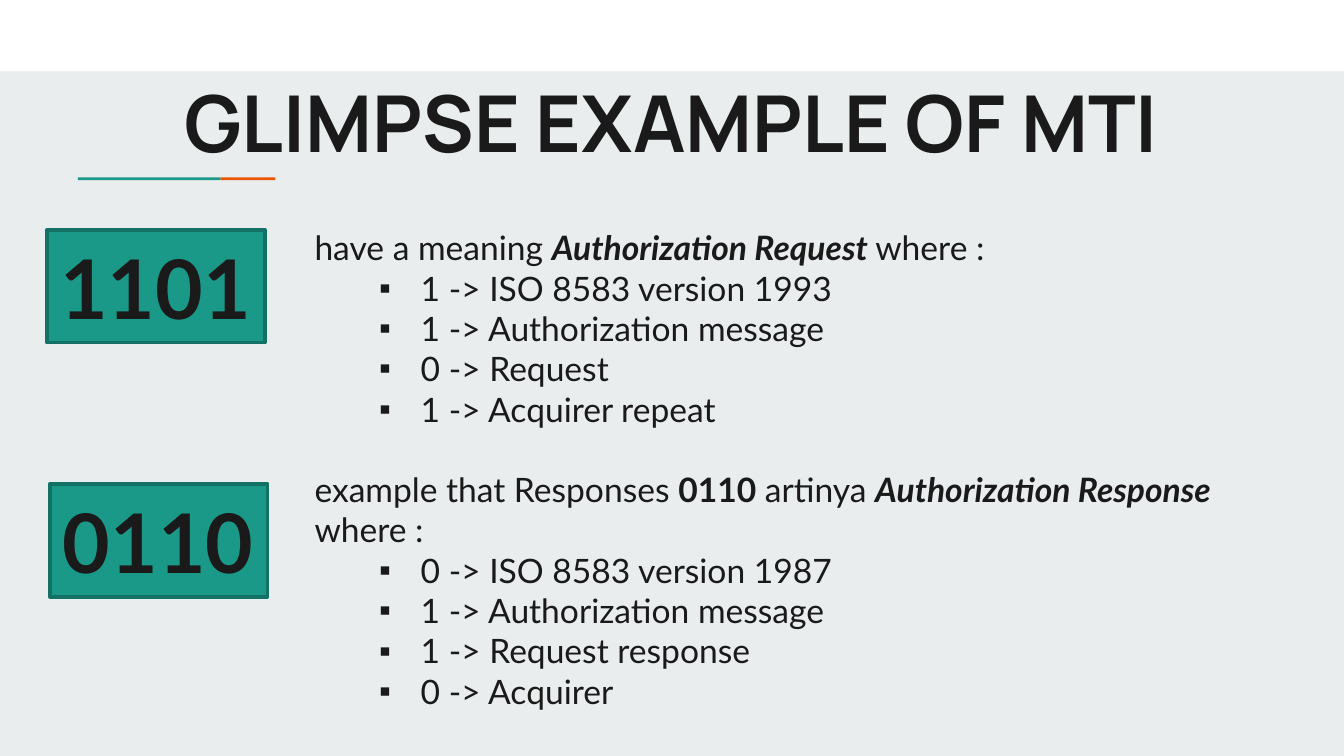
from lxml.etree import SubElement
from pptx import Presentation
from pptx.dml.color import RGBColor
from pptx.enum.shapes import MSO_SHAPE as Shape
from pptx.enum.text import MSO_ANCHOR as Anchor, MSO_AUTO_SIZE as AutoSize, PP_ALIGN as Align
from pptx.oxml.ns import qn
from pptx.util import Inches, Pt

WHITE = RGBColor(0xFF, 0xFF, 0xFF)
PALE = RGBColor(0xE9, 0xED, 0xEE)
INK = RGBColor(0x1A, 0x1A, 0x1A)
TEAL = RGBColor(0x1A, 0x99, 0x88)
DARK_TEAL = RGBColor(0x13, 0x71, 0x65)
ORANGE = RGBColor(0xEB, 0x56, 0x00)

CODES = [("1101", 0.35, 1.71), ("0110", 0.37, 3.6)]
REQUEST_INTRO = [
    ("have a meaning ", False, False),
    ("Authorization Request ", True, True),
    ("where :", False, False),
]
REQUEST_DIGITS = [
    "1 -> ISO 8583 version 1993",
    "1 -> Authorization message",
    "0 -> Request",
    "1 -> Acquirer repeat",
]
RESPONSE_INTRO = [
    ("example that Responses ", False, False),
    ("0110", True, False),
    (" artinya ", False, False),
    ("Authorization Response", True, True),
]
RESPONSE_END = [("where :", False, False)]
RESPONSE_DIGITS = [
    "0 -> ISO 8583 version 1987",
    "1 -> Authorization message",
    "1 -> Request response",
    "0 -> Acquirer",
]


def place(shape, left, top, width, height):
    shape.left, shape.top = Inches(left), Inches(top)
    shape.width, shape.height = Inches(width), Inches(height)


def add_run(paragraph, text, size, font="Lato", bold=False, italic=False):
    run = paragraph.add_run()
    run.text = text
    run.font.name = font
    run.font.size = Pt(size)
    run.font.bold = bold
    run.font.italic = italic
    run.font.color.rgb = INK


def add_block(slide, left, top, width, height, fill):
    block = slide.shapes.add_shape(
        Shape.RECTANGLE, Inches(left), Inches(top), Inches(width), Inches(height))
    block.shadow.inherit = False
    block.fill.solid()
    block.fill.fore_color.rgb = fill
    block.line.fill.background()
    return block


def add_code(slide, code, left, top):
    block = add_block(slide, left, top, 1.62, 0.84, TEAL)
    block.line.color.rgb = DARK_TEAL
    block.line.width = Pt(2)
    block.text_frame.word_wrap = False
    paragraph = block.text_frame.paragraphs[0]
    paragraph.alignment = Align.LEFT
    add_run(paragraph, code, 44, bold=True)


def fill_title(title):
    place(title, 0.79, 0.45, 8.41, 1.82)
    frame = title.text_frame
    frame.auto_size = AutoSize.NONE
    frame.vertical_anchor = Anchor.TOP
    frame.margin_top = frame.margin_bottom = Inches(0.1)
    paragraph = frame.paragraphs[0]
    paragraph.alignment = Align.CENTER
    add_run(paragraph, "GLIMPSE EXAMPLE OF MTI", 42, "Manrope", bold=True)


def add_line(frame, runs, bullet=False, gap=0):
    first = frame.paragraphs[0]
    paragraph = frame.add_paragraph() if first.runs else first
    paragraph.space_before = Pt(gap)
    properties = paragraph._p.get_or_add_pPr()
    properties.set("marL", str(Inches(0.79 if bullet else 0)))
    properties.set("indent", str(Inches(-0.31 if bullet else 0)))
    if bullet:
        SubElement(properties, qn("a:buChar")).set("char", "▪")
    else:
        SubElement(properties, qn("a:buNone"))
    for text, bold, italic in runs:
        add_run(paragraph, text, 18, bold=bold, italic=italic)


def add_digits(frame, digits):
    for digit in digits:
        add_line(frame, [(digit, False, False)], bullet=True)


def fill_body(body):
    place(body, 2.24, 1.64, 8.11, 3.74)
    frame = body.text_frame
    frame.auto_size = AutoSize.NONE
    add_line(frame, REQUEST_INTRO)
    add_digits(frame, REQUEST_DIGITS)
    add_line(frame, RESPONSE_INTRO, gap=21.6)
    add_line(frame, RESPONSE_END)
    add_digits(frame, RESPONSE_DIGITS)


def main():
    deck = Presentation()
    deck.slide_width, deck.slide_height = Inches(10), Inches(10 * 9 / 16)
    slide = deck.slides.add_slide(deck.slide_layouts[1])
    slide.background.fill.solid()
    slide.background.fill.fore_color.rgb = PALE
    add_block(slide, 0, 0, 10, 0.53, WHITE)
    add_block(slide, 1.64, 1.32, 0.41, 0.02, ORANGE)
    add_block(slide, 0.58, 1.32, 1.06, 0.02, TEAL)
    fill_title(slide.shapes.title)
    fill_body(slide.placeholders[1])
    for code, left, top in CODES:
        add_code(slide, code, left, top)
    deck.save("out.pptx")


if __name__ == "__main__":
    main()
